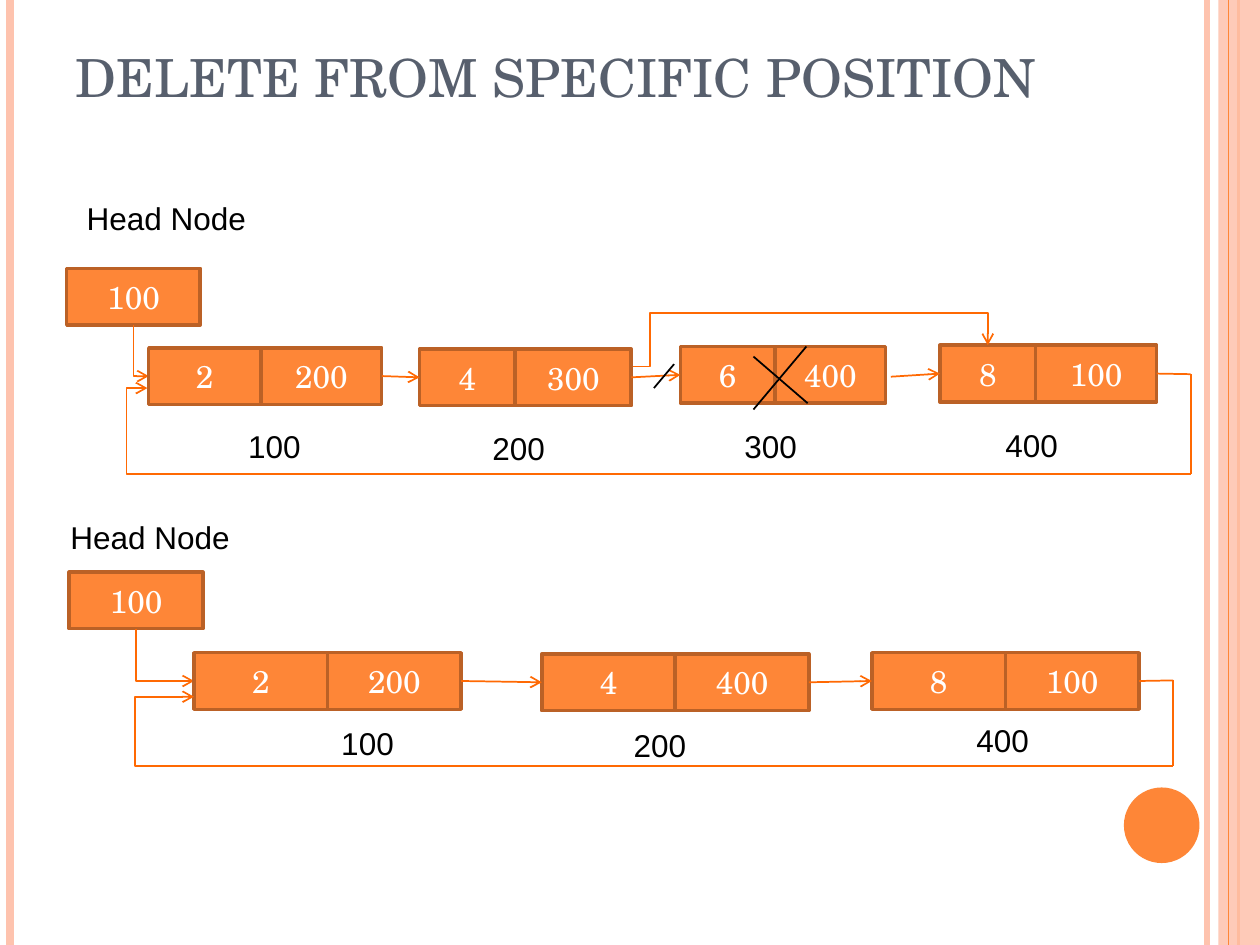
from lxml import etree
from pptx import Presentation
from pptx.dml.color import RGBColor
from pptx.enum.shapes import MSO_CONNECTOR, MSO_SHAPE
from pptx.enum.text import MSO_ANCHOR, MSO_AUTO_SIZE, PP_ALIGN
from pptx.oxml.ns import qn
from pptx.util import Inches, Pt

STRAIGHT, ELBOW = MSO_CONNECTOR.STRAIGHT, MSO_CONNECTOR.ELBOW
RECTANGLE, OVAL = MSO_SHAPE.RECTANGLE, MSO_SHAPE.OVAL
MIDDLE, BOTTOM = MSO_ANCHOR.MIDDLE, MSO_ANCHOR.BOTTOM
LEFT, CENTER = PP_ALIGN.LEFT, PP_ALIGN.CENTER
NO_FIT, GROW = MSO_AUTO_SIZE.NONE, MSO_AUTO_SIZE.SHAPE_TO_FIT_TEXT
LEFT_SIDE, RIGHT_SIDE = 1, 3

COLORS = {
    "orange": "FE8637", "border": "BB6126", "arrow": "FF6903", "peach": "FEC3AE",
    "title": "575F6D", "white": "FFFFFF", "black": "000000",
}
SERIF, SANS = "TeX Gyre Schola", "Arial"
BOX_HEIGHT = 0.45
HEAD_WIDTH = 1.06

# left, top, value width, pointer width, value, pointer, address, address position
BEFORE = [
    (1.18, 2.76, 0.89, 0.96, "2", "200", "100", (1.87, 3.34)),
    (3.33, 2.77, 0.76, 0.92, "4", "300", "200", (3.81, 3.36)),
    (5.40, 2.75, 0.75, 0.88, "6", "400", "300", (5.81, 3.34)),
    (7.46, 2.74, 0.76, 0.96, "8", "100", "400", (7.88, 3.33)),
]
AFTER = [
    (1.54, 5.18, 1.06, 1.06, "2", "200", "100", (2.61, 5.70)),
    (4.30, 5.19, 1.06, 1.06, "4", "400", "200", (4.93, 5.71)),
    (6.92, 5.18, 1.06, 1.06, "8", "100", "400", (7.65, 5.67)),
]


class ListSlide:
    """Holds the style and the slide being drawn."""

    def __init__(self, slide):
        self.slide = slide

    def color(self, name):
        return RGBColor.from_string(COLORS[name])

    def set_opacity(self, shape, percent):
        color = next(shape._element.spPr.iter(qn("a:srgbClr")))
        etree.SubElement(color, qn("a:alpha"), val=str(percent * 1000))

    def set_text(self, shape, text, size, font, color, align, **frame_format):
        frame = shape.text_frame
        for name, value in frame_format.items():
            setattr(frame, name, value)
        paragraph = frame.paragraphs[0]
        paragraph.text = text
        paragraph.alignment = align
        for name, value in {"size": Pt(size), "name": font, "bold": False}.items():
            setattr(paragraph.font, name, value)
        paragraph.font.color.rgb = self.color(color)

    def title(self, text, left, top, width, height):
        shape = self.slide.shapes.title
        position = {"left": left, "top": top, "width": width, "height": height}
        for name, value in position.items():
            setattr(shape, name, Inches(value))
        self.set_text(shape, text, 30, SERIF, "title", LEFT, word_wrap=True,
                      auto_size=NO_FIT, vertical_anchor=BOTTOM)

    def solid(self, kind, left, top, width, height, fill):
        shape = self.slide.shapes.add_shape(
            kind, Inches(left), Inches(top), Inches(width), Inches(height))
        shape.shadow.inherit = False
        shape.fill.solid()
        shape.fill.fore_color.rgb = self.color(fill)
        shape.line.fill.background()
        return shape

    def box(self, text, left, top, width):
        shape = self.solid(RECTANGLE, left, top, width, BOX_HEIGHT, "orange")
        shape.line.color.rgb = self.color("border")
        shape.line.width = Pt(2)
        self.set_text(shape, text, 18, SERIF, "white", CENTER, word_wrap=True,
                      vertical_anchor=MIDDLE)
        return shape

    def label(self, text, left, top, width=0.85):
        shape = self.slide.shapes.add_textbox(
            Inches(left), Inches(top), Inches(width), Inches(0.4))
        self.set_text(shape, text, 18, SANS, "black", LEFT, word_wrap=True, auto_size=GROW)

    def line(self, start, end, color="arrow", width=1, arrow=False, kind=STRAIGHT,
             start_box=None, end_box=None):
        """Join two points; a given box replaces its point by the middle of its side."""
        connector = self.slide.shapes.add_connector(
            kind, *(Inches(value) for value in (*start, *end)))
        if start_box is not None:
            connector.begin_connect(start_box, RIGHT_SIDE)
        if end_box is not None:
            connector.end_connect(end_box, LEFT_SIDE)
        connector.line.color.rgb = self.color(color)
        connector.line.width = Pt(width)
        properties = connector._element.spPr
        if arrow:
            etree.SubElement(properties.find(qn("a:ln")), qn("a:tailEnd"), type="arrow")
        etree.SubElement(properties, qn("a:effectLst"))
        return connector

    def elbow(self, start, end, preset, *adjustments):
        connector = self.line(start, end, arrow=True, kind=ELBOW)
        geometry = connector._element.spPr.find(qn("a:prstGeom"))
        geometry.set("prst", preset)
        guides = geometry.find(qn("a:avLst"))
        for number, value in enumerate(adjustments, 1):
            etree.SubElement(guides, qn("a:gd"), name=f"adj{number}",
                             fmla=f"val {round(value * 100000)}")
        return connector

    def down_then_right(self, start, end):
        """A one-bend arrow: its frame is turned a quarter about the centre."""
        (x1, y1), (x2, y2) = start, end
        center_x, center_y = (x1 + x2) / 2, (y1 + y2) / 2
        half_width, half_height = (y2 - y1) / 2, (x2 - x1) / 2
        connector = self.elbow((center_x + half_width, center_y - half_height),
                               (center_x - half_width, center_y + half_height),
                               "bentConnector2")
        connector._element.spPr.find(qn("a:xfrm")).set("rot", "16200000")

    def head(self, left, top, label_left, label_top, first_node):
        self.label("Head Node", label_left, label_top, 1.57)
        self.box("100", left, top, HEAD_WIDTH)
        node_left, node_top = first_node[:2]
        self.down_then_right((left + HEAD_WIDTH / 2, top + BOX_HEIGHT),
                             (node_left, node_top + BOX_HEIGHT / 2))

    def nodes(self, rows):
        """Draw the nodes and return their (value box, pointer box) pairs."""
        pairs = []
        for left, top, value_width, pointer_width, value, pointer, address, place in rows:
            pairs.append((self.box(value, left, top, value_width),
                          self.box(pointer, left + value_width, top, pointer_width)))
            self.label(address, *place)
        return pairs

    def link(self, source, target):
        self.line((0, 0), (0, 0), arrow=True, start_box=source[1], end_box=target[0])

    def loop_back(self, last, right, middle, bottom, end, overshoot):
        """Lead from the last node round below the row to the first."""
        self.line((0, 0), (right, middle), start_box=last[1])
        self.line((right, middle), (right, bottom))
        self.elbow((right, bottom), end, "bentConnector3", overshoot)

    def decoration(self):
        for x, color, width in [(9.58, "peach", 3), (0.08, "peach", 4.5),
                                (9.83, "orange", 1.5)]:
            self.line((x, 0), (x, 7.5), color, width)
        band = self.solid(RECTANGLE, 9.67, 0, 0.33, 7.5, "peach")
        self.set_opacity(band, 87)
        self.line((9.75, 0), (9.75, 7.5), "orange", 0.75)
        self.solid(OVAL, 8.92, 6.25, 0.6, 0.6, "orange")


def main():
    presentation = Presentation()
    presentation.slide_width, presentation.slide_height = Inches(10), Inches(7.5)
    page = ListSlide(presentation.slides.add_slide(presentation.slide_layouts[5]))
    page.decoration()
    page.title("DELETE FROM SPECIFIC POSITION", 0.5, 0.3, 8.17, 0.61)

    page.head(0.53, 2.13, 0.59, 1.53, BEFORE[0])
    first, second, removed, last = page.nodes(BEFORE)
    page.link(first, second)
    page.link(second, removed)
    page.line((7.07, 2.99), (7.46, 2.97), arrow=True, end_box=last[0])
    page.elbow((5.02, 2.91), (7.84, 2.74), "bentConnector4", 0.05, 2.49)
    page.loop_back(last, 9.45, 2.97, 3.76, (1.17, 3.08), 1.02)
    for start, end in [((5.35, 2.89), (5.19, 3.08)), ((6.4, 2.75), (5.98, 3.25)),
                       ((5.98, 2.83), (6.41, 3.2))]:
        page.line(start, end, "black")

    page.head(0.55, 4.54, 0.46, 4.06, AFTER[0])
    first, second, last = page.nodes(AFTER)
    page.link(first, second)
    page.link(second, last)
    page.loop_back(last, 9.31, 5.4, 6.08, (1.54, 5.53), 1.06)

    presentation.save("out.pptx")


if __name__ == "__main__":
    main()
